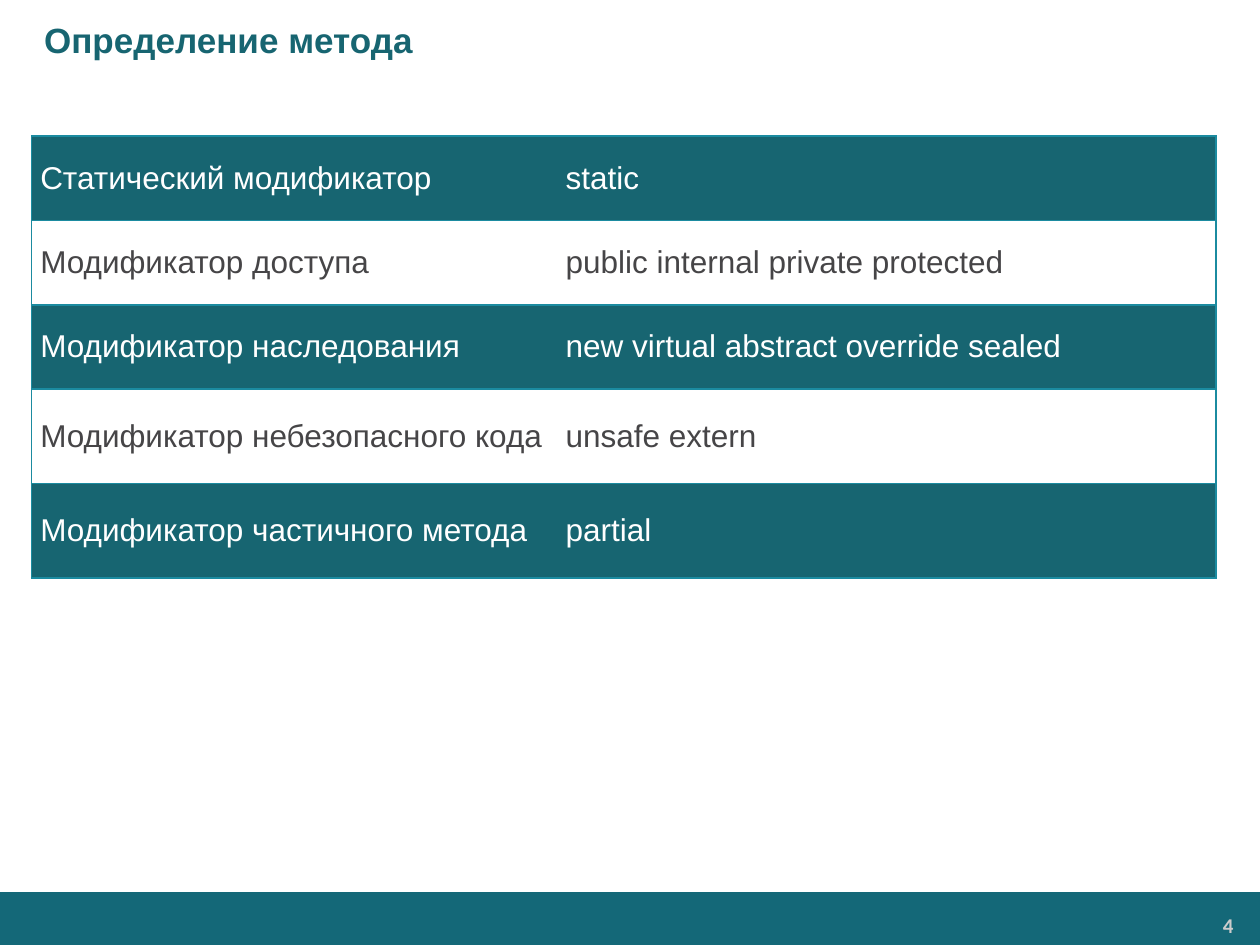
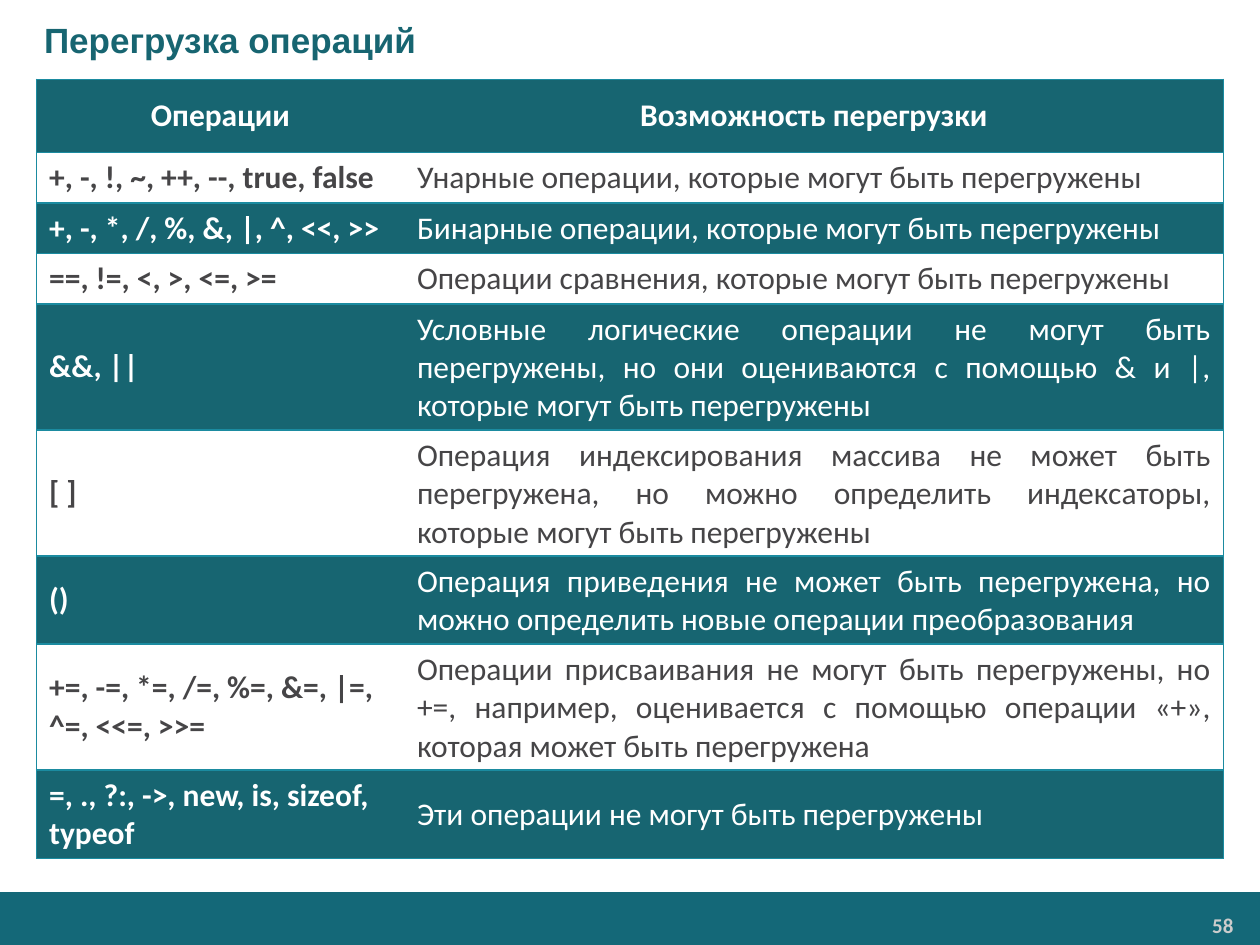
"""Builds two slides on C# methods and operator overloading, each with a banded table."""
from lxml import etree
from pptx import Presentation
from pptx.dml.color import RGBColor
from pptx.enum.shapes import MSO_SHAPE
from pptx.enum.text import MSO_ANCHOR, PP_ALIGN
from pptx.oxml.ns import qn
from pptx.util import Inches, Pt

LEFT, CENTER, RIGHT, JUSTIFY = PP_ALIGN.LEFT, PP_ALIGN.CENTER, PP_ALIGN.RIGHT, PP_ALIGN.JUSTIFY
MIDDLE, TOP = MSO_ANCHOR.MIDDLE, MSO_ANCHOR.TOP
RECTANGLE = MSO_SHAPE.RECTANGLE

WIDTH, HEIGHT = 10, 7.5
TEAL, BAND, BORDER = "176571", "146878", "1B8BA0"
WHITE, DARK, PALE = "FFFFFF", "464547", "CCCCCC"
TITLE_HEIGHT, FOOTER_TOP = 0.63, 7.08
LINE_HEIGHT, CELL_PADDING = 0.3, 0.1

MODIFIERS = [
    ("Статический модификатор", "static"),
    ("Модификатор доступа", "public internal private protected"),
    ("Модификатор наследования", "new virtual abstract override sealed"),
    ("Модификатор небезопасного кода", "unsafe extern"),
    ("Модификатор частичного метода", "partial"),
]
OPERATORS = [
    ("Операции", "Возможность перегрузки"),
    ("+, -, !, ~, ++, --, true, false", "Унарные операции, которые могут быть перегружены"),
    ("+, -, *, /, %, &, |, ^, <<, >>", "Бинарные операции, которые могут быть перегружены"),
    ("==, !=, <, >, <=, >=", "Операции сравнения, которые могут быть перегружены"),
    ("&&, ||", "Условные логические операции не могут быть перегружены, "
               "но они оцениваются с помощью & и |, которые могут быть перегружены"),
    ("[ ]", "Операция индексирования массива не может быть перегружена, "
            "но можно определить индексаторы, которые могут быть перегружены"),
    ("()", "Операция приведения не может быть перегружена, "
           "но можно определить новые операции преобразования"),
    ("+=, -=, *=, /=, %=, &=, |=, ^=, <<=, >>=",
     "Операции присваивания не могут быть перегружены, но +=, например, "
     "оценивается с помощью операции «+», которая может быть перегружена"),
    ("=, ., ?:, ->, new, is, sizeof, typeof", "Эти операции не могут быть перегружены"),
]
OPERATOR_LINES = [1, 1, 1, 3, 3, 2, 3, 2]

SLIDES = [
    dict(title="Определение метода", number="4", rows=MODIFIERS, at=(0.25, 1.08),
         cols=(4.17, 5.23), heights=[0.67] * 3 + [0.75] * 2,
         font="Arial", inset=0.07, header=False),
    dict(title="Перегрузка операций", number="58", rows=OPERATORS, at=(0.29, 0.63),
         cols=(2.92, 6.5),
         heights=[0.58] + [CELL_PADDING + LINE_HEIGHT * n for n in OPERATOR_LINES],
         font="Calibri", inset=0.1, header=True),
]


def rgb(color):
    return RGBColor.from_string(color)


def write(tf, text, font, size, color, bold=False, align=LEFT):
    tf.text = text
    p = tf.paragraphs[0]
    p.alignment = align
    f = p.runs[0].font
    f.name, f.size, f.bold = font, Pt(size), bold
    f.color.rgb = rgb(color)


def add_text(s, box, text, size, color, anchor, align, insets):
    tf = s.shapes.add_textbox(*map(Inches, box)).text_frame
    tf.word_wrap, tf.vertical_anchor = True, anchor
    tf.margin_left, tf.margin_right = map(Inches, insets)
    font = "Arial" if anchor == MIDDLE else "Calibri"
    write(tf, text, font, size, color, True, align)


def set_borders(cell, hidden):
    tc_pr = cell._tc.get_or_add_tcPr()
    for side in ("lnL", "lnR", "lnT", "lnB"):
        ln = etree.SubElement(tc_pr, qn("a:" + side), w=str(Pt(1)))
        if side == hidden:
            etree.SubElement(ln, qn("a:noFill"))
        else:
            fill = etree.SubElement(ln, qn("a:solidFill"))
            etree.SubElement(fill, qn("a:srgbClr"), val=BORDER)


def add_table(s, rows, at, cols, heights, font, inset, header):
    box = map(Inches, (*at, sum(cols), sum(heights)))
    table = s.shapes.add_table(len(rows), len(cols), *box).table
    table.first_row, table.horz_banding = header, False
    for column, width in zip(table.columns, cols):
        column.width = Inches(width)
    for i, (row, height) in enumerate(zip(rows, heights)):
        table.rows[i].height = Inches(height)
        fill, color = ((TEAL, WHITE), (WHITE, DARK))[i % 2]
        for j, text in enumerate(row):
            cell = table.cell(i, j)
            set_borders(cell, ("lnR", "lnL")[j])
            cell.fill.solid()
            cell.fill.fore_color.rgb = rgb(fill)
            cell.vertical_anchor = MIDDLE
            cell.margin_left = cell.margin_right = Inches(inset)
            is_heading = header and i == 0
            align = CENTER if is_heading else JUSTIFY if header and j else LEFT
            bold = is_heading or (header and j == 0)
            write(cell.text_frame, text, font, 18, color, bold, align)


def add_frame(s, title, number):
    band = s.shapes.add_shape(RECTANGLE, 0, Inches(FOOTER_TOP), Inches(WIDTH),
                              Inches(HEIGHT - FOOTER_TOP))
    band.shadow.inherit = False
    band.fill.solid()
    band.fill.fore_color.rgb = rgb(BAND)
    band.line.fill.background()
    add_text(s, (8.23, 7.19, 1.63, 0.28), number, 12, PALE, TOP, RIGHT, (0.07, 0.07))
    add_text(s, (0, 0, WIDTH, TITLE_HEIGHT), title, 20, TEAL, MIDDLE, LEFT, (0.35, 0.1))


def main():
    prs = Presentation()
    prs.slide_width, prs.slide_height = Inches(WIDTH), Inches(HEIGHT)
    for content in SLIDES:
        s = prs.slides.add_slide(prs.slide_layouts[6])
        table = dict(content)
        add_frame(s, table.pop("title"), table.pop("number"))
        add_table(s, **table)
    prs.save("out.pptx")


if __name__ == "__main__":
    main()
